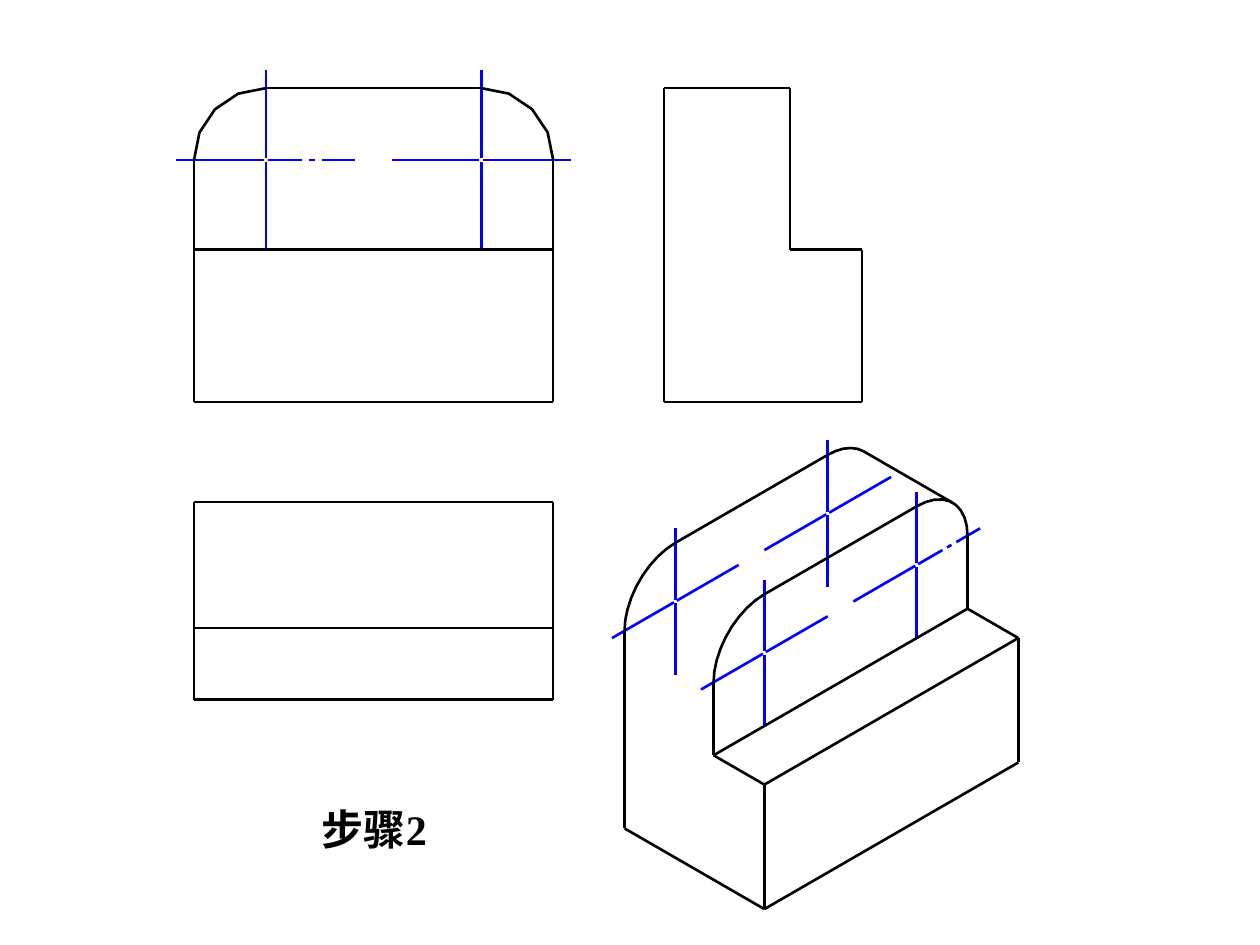
from math import cos, radians, sin

from lxml.etree import SubElement
from pptx import Presentation
from pptx.dml.color import RGBColor
from pptx.enum.text import MSO_ANCHOR as Anchor, PP_ALIGN as Align
from pptx.oxml.ns import qn
from pptx.util import Pt

BLACK, BLUE = "000000", "0000FF"

# Solid, in points: x runs along the width, y from front to back, z upwards
WIDTH, DEPTH, TOP = 205.2, 113, 179.3
STEP_DEPTH, STEP_TOP = 41.04, 87.1
RADIUS = 41.04
AXIS = TOP - RADIUS          # height of the arc centres
RIGHT = WIDTH - RADIUS       # x of the right arc centre

# Each view: place of the front lower left corner, then the x, y and z axes
ISO_X, ISO_Y, ISO_Z = 0.5 ** 0.5, 6 ** -0.5, (2 / 3) ** 0.5
VIEWS = {
    "front": ((110.9, 229.7), (1, 0), (0, 0), (0, -1)),
    "side": ((492.5, 229.7), (0, 0), (-1, 0), (0, -1)),
    "top": ((110.9, 399.8), (1, 0), (0, -1), (0, 0)),
    "iso": ((436.8, 519.5), (ISO_X, -ISO_Y), (-ISO_X, -ISO_Y), (0, -ISO_Z)),
}

deck = Presentation()
deck.slide_width, deck.slide_height = Pt(720), Pt(540)
page = deck.slides.add_slide(deck.slide_layouts[5])


def stroke(view, points, colour):
    """Project solid points into a view and draw a line or an open outline."""
    origin, *axes = VIEWS[view]
    flat = [
        tuple(Pt(origin[i] + sum(v * axis[i] for v, axis in zip(point, axes))) for i in (0, 1))
        for point in points
    ]
    if len(flat) == 2:
        shape = page.shapes.add_connector(1, *flat[0], *flat[1])
    else:
        builder = page.shapes.build_freeform(*flat[0], scale=1)
        builder.add_line_segments(flat[1:], close=False)
        shape = builder.convert_to_shape()
        shape.fill.background()
    shape.line.color.rgb = RGBColor.from_string(colour)
    shape.line.width = Pt(1.5)
    SubElement(shape._element.spPr, qn("a:effectLst"))


# Title
title = page.shapes.title
title.left, title.top, title.width, title.height = Pt(121), Pt(457.2), Pt(185.8), Pt(33.1)
title.text_frame.vertical_anchor = Anchor.MIDDLE
para = title.text_frame.paragraphs[0]
para.alignment = Align.CENTER
span = para.add_run()
span.text = "步骤2"
for name, value in {"name": "Times New Roman", "size": Pt(24), "bold": True}.items():
    setattr(span.font, name, value)
span.font.color.rgb = RGBColor.from_string(BLACK)

# Centre lines: view, x and y of the centre, whether the right arm is dashed
SOLID = [(1.2, 51.2)]
DASHED = [(1.2, 20.8), (24.5, 28.1), (32, 51.2)]
centres = [
    ("iso", RADIUS, STEP_DEPTH, False),
    ("iso", RIGHT, STEP_DEPTH, True),
    ("iso", RIGHT, DEPTH, False),
    ("iso", RADIUS, DEPTH, False),
    ("front", RADIUS, 0, True),
    ("front", RIGHT, 0, False),
]
for view, x, y, dashed in centres:
    arms = [(1, 0, DASHED if dashed else SOLID), (-1, 0, SOLID), (0, -1, SOLID), (0, 1, SOLID)]
    for dx, dz, dashes in arms:
        for dash in dashes:
            stroke(view, [(x + dx * d, y, AXIS + dz * d) for d in dash], BLUE)

# Straight edges, one line between each two neighbouring corners
tangent = RADIUS * cos(radians(45))
edges = {
    "front": [
        [(0, 0, AXIS), (0, 0, STEP_TOP), (0, 0, 0), (WIDTH, 0, 0),
         (WIDTH, 0, STEP_TOP), (WIDTH, 0, AXIS)],
        [(0, 0, STEP_TOP), (WIDTH, 0, STEP_TOP)],
        [(RADIUS, 0, TOP), (RIGHT, 0, TOP)],
    ],
    "top": [
        [(x, y, 0) for x in (0, RADIUS, RIGHT, WIDTH)] for y in (STEP_DEPTH, DEPTH)
    ] + [
        [(0, DEPTH, 0), (0, STEP_DEPTH, 0), (0, 0, 0), (WIDTH, 0, 0),
         (WIDTH, STEP_DEPTH, 0), (WIDTH, DEPTH, 0)],
    ],
    "side": [
        [(0, DEPTH, TOP), (0, STEP_DEPTH, TOP), (0, STEP_DEPTH, AXIS),
         (0, STEP_DEPTH, STEP_TOP), (0, 0, STEP_TOP), (0, 0, 0),
         (0, DEPTH, 0), (0, DEPTH, AXIS), (0, DEPTH, TOP)],
    ],
    "iso": [
        [(WIDTH, STEP_DEPTH, AXIS), (WIDTH, STEP_DEPTH, STEP_TOP), (WIDTH, 0, STEP_TOP),
         (WIDTH, 0, 0), (0, 0, 0), (0, DEPTH, 0), (0, DEPTH, AXIS)],
        [(0, STEP_DEPTH, AXIS), (0, STEP_DEPTH, STEP_TOP), (0, 0, STEP_TOP), (0, 0, 0)],
        [(0, STEP_DEPTH, STEP_TOP), (WIDTH, STEP_DEPTH, STEP_TOP)],
        [(0, 0, STEP_TOP), (WIDTH, 0, STEP_TOP)],
        [(RADIUS, STEP_DEPTH, TOP), (RIGHT, STEP_DEPTH, TOP)],
        [(RADIUS, DEPTH, TOP), (RIGHT, DEPTH, TOP)],
        [(RIGHT + tangent, y, AXIS + tangent) for y in (STEP_DEPTH, DEPTH)],
    ],
}
for view, chains in edges.items():
    for chain in chains:
        for ends in zip(chain, chain[1:]):
            stroke(view, ends, BLACK)

# Rounded corners: view, x and y of the centre, first and last angle, segments
arcs = [
    ("front", RADIUS, 0, 90, 180, 4),
    ("front", RIGHT, 0, 0, 90, 4),
    ("iso", RADIUS, STEP_DEPTH, 90, 180, 9),
    ("iso", RADIUS, DEPTH, 90, 180, 9),
    ("iso", RIGHT, DEPTH, 45, 90, 5),
    ("iso", RIGHT, STEP_DEPTH, 0, 90, 9),
]
for view, x, y, first, last, count in arcs:
    angles = [radians(first + (last - first) * i / count) for i in range(count + 1)]
    stroke(view, [(x + RADIUS * cos(a), y, AXIS + RADIUS * sin(a)) for a in angles], BLACK)

deck.save("out.pptx")
